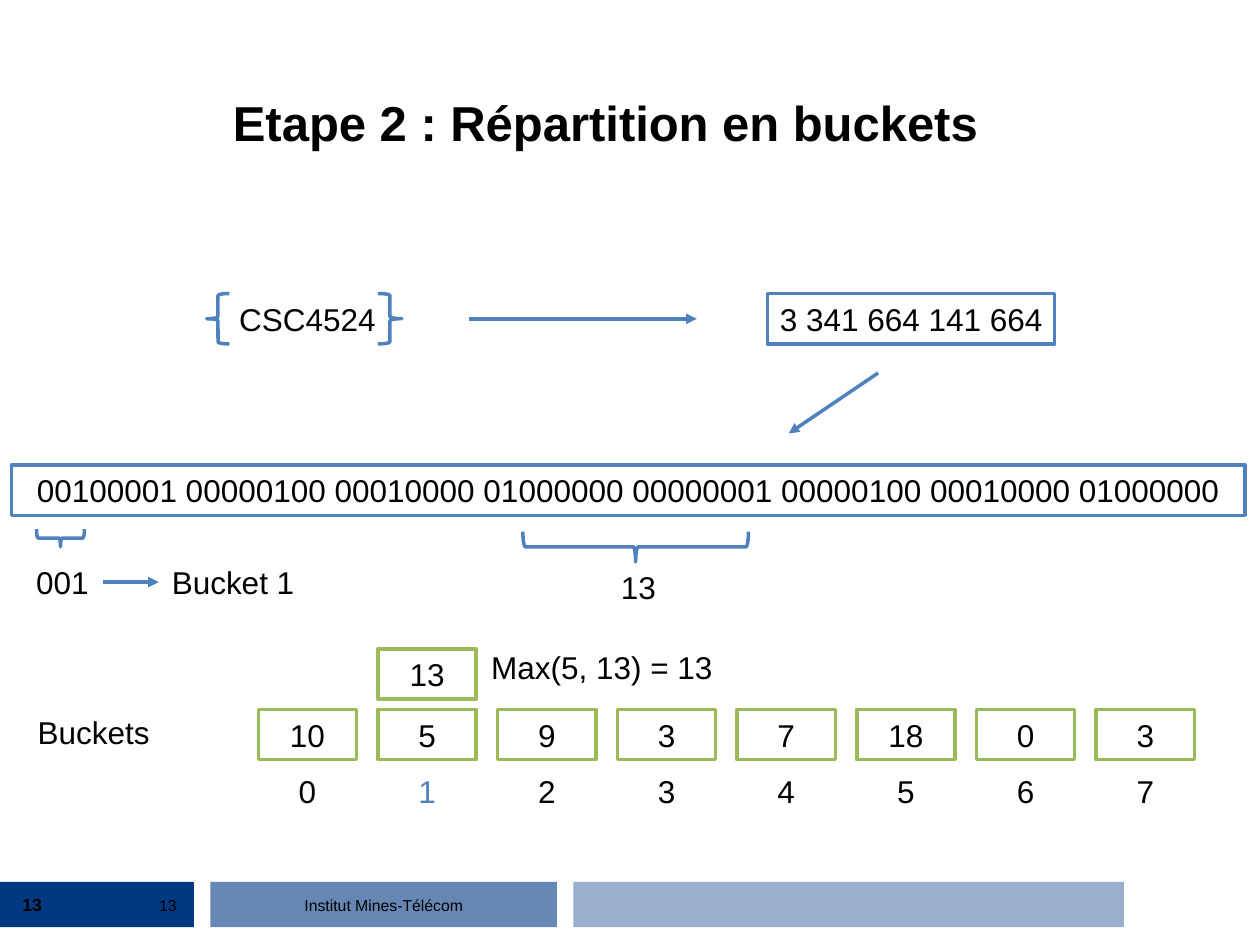
from dataclasses import dataclass

from lxml import etree
from pptx import Presentation
from pptx import util as u
from pptx.dml.color import RGBColor
from pptx.enum import shapes, text
from pptx.oxml import ns

LEFT, CENTER, RIGHT = text.PP_ALIGN.LEFT, text.PP_ALIGN.CENTER, text.PP_ALIGN.RIGHT
SHAPE = shapes.MSO_SHAPE


@dataclass(frozen=True)
class Theme:
    font: str = "Arial"
    ink: str = "000000"
    navy: str = "003882"
    blue: str = "4F81BD"
    green: str = "9BBB59"
    title: int = 28
    body: int = 18
    page: int = 10
    footer: int = 9
    line: int = 2


THEME = Theme()
ROW_HEIGHT = 0.4


def inches(*values):
    return [u.Inches(value) for value in values]


def write(shape, content, size=THEME.body, color=THEME.ink, align=CENTER, bold=False,
          anchor=text.MSO_ANCHOR.TOP):
    frame = shape.text_frame
    frame.word_wrap = False
    frame.vertical_anchor = anchor
    paragraph = frame.paragraphs[0]
    paragraph.text = content
    paragraph.alignment = align
    paragraph.font.name = THEME.font
    paragraph.font.size = u.Pt(size)
    paragraph.font.bold = bold
    paragraph.font.color.rgb = RGBColor.from_string(color)


def add_label(slide, content, left, top, width, height=ROW_HEIGHT, **style):
    shape = slide.shapes.add_textbox(*inches(left, top, width, height))
    write(shape, content, **style)
    return shape


def add_outline(slide, kind, left, top, width, height, color):
    shape = slide.shapes.add_shape(kind, *inches(left, top, width, height))
    shape.shadow.inherit = False
    shape.fill.background()
    shape.line.color.rgb = RGBColor.from_string(color)
    shape.line.width = u.Pt(THEME.line)
    return shape


def add_box(slide, content, left, top, width, color, align=CENTER):
    shape = add_outline(slide, SHAPE.RECTANGLE, left, top, width, ROW_HEIGHT, color)
    write(shape, content, align=align)
    return shape


def add_brace_below(slide, left, top, width, height):
    """Left brace turned so that its tip points down."""
    center_x, center_y = left + width / 2, top + height / 2
    shape = add_outline(slide, SHAPE.LEFT_BRACE, center_x - height / 2,
                        center_y - width / 2, height, width, THEME.blue)
    shape.rotation = 270


def add_arrow(slide, start, end):
    arrow = slide.shapes.add_connector(shapes.MSO_CONNECTOR.STRAIGHT, *inches(*start, *end))
    arrow.line.color.rgb = RGBColor.from_string(THEME.blue)
    arrow.line.width = u.Pt(THEME.line)
    line = arrow.line._get_or_add_ln()
    etree.SubElement(line, ns.qn("a:tailEnd"), type="triangle")
    etree.SubElement(arrow._element.spPr, ns.qn("a:effectLst"))
    return arrow


def add_band(slide, left, width, opacity):
    shape = slide.shapes.add_shape(SHAPE.RECTANGLE, *inches(left, 7, width, 0.36))
    shape.shadow.inherit = False
    shape.fill.solid()
    shape.fill.fore_color.rgb = RGBColor.from_string(THEME.navy)
    shape.line.fill.background()
    if opacity < 100:
        color = shape._element.spPr.find(".//" + ns.qn("a:srgbClr"))
        etree.SubElement(color, ns.qn("a:alpha"), val=str(opacity * 1000))


def add_footer(slide):
    for left, width, opacity in ((4.55, 4.37, 40), (0, 1.54, 100), (1.67, 2.75, 60)):
        add_band(slide, left, width, opacity)
    middle = text.MSO_ANCHOR.MIDDLE
    add_label(slide, "Institut Mines-Télécom", 1.67, 7.06, 2.75, 0.25,
              size=THEME.footer, anchor=middle)
    add_label(slide, "13", 0.5, 7.04, 1, 0.28,
              size=THEME.footer, align=RIGHT, anchor=middle)
    add_label(slide, "13", 0.08, 7.02, 0.42, 0.32,
              size=THEME.page, align=LEFT, bold=True, anchor=middle)


def add_hashing(slide):
    # Set element and its hash
    top = 2.33
    add_label(slide, "CSC4524", 1.77, top, 1.34)
    add_outline(slide, SHAPE.LEFT_BRACE, 1.64, top, 0.18, ROW_HEIGHT, THEME.blue)
    add_outline(slide, SHAPE.RIGHT_BRACE, 3, top, 0.19, ROW_HEIGHT, THEME.blue)
    add_box(slide, "3 341 664 141 664", 6.09, top, 2.28, THEME.blue, align=LEFT)
    add_arrow(slide, (3.72, 2.53), (5.53, 2.53))
    add_arrow(slide, (6.97, 2.96), (6.26, 3.44))

    # Binary form, with the bucket prefix and the run of zeros
    add_box(slide, "00100001 00000100 00010000 01000000 "
                   "00000001 00000100 00010000 01000000", 0.09, 3.69, 9.79, THEME.blue)
    add_brace_below(slide, 4.15, 4.22, 1.79, 0.24)
    add_label(slide, "13", 4.83, 4.46, 0.48, align=LEFT)
    add_brace_below(slide, 0.29, 4.2, 0.38, 0.14)
    prefix = add_label(slide, "001", 0.17, 4.42, 0.65)
    bucket = add_label(slide, "Bucket 1", 1.26, 4.42, 1.18)
    arrow = add_arrow(slide, (0.82, 4.62), (1.26, 4.62))
    arrow.begin_connect(prefix, 3)
    arrow.end_connect(bucket, 1)


def add_buckets(slide):
    first, pitch, width, chosen = 2.05, 0.95, 0.78, 1
    add_label(slide, "Buckets", 0.2, 5.61, 1.09, align=LEFT)
    for index, value in enumerate((10, 5, 9, 3, 7, 18, 0, 3)):
        left = first + index * pitch
        add_box(slide, str(value), left, 5.63, width, THEME.green)
        add_label(slide, str(index), left + 0.22, 6.08, 0.34,
                  color=THEME.blue if index == chosen else THEME.ink)

    # New maximum above the chosen bucket
    add_box(slide, "13", first + chosen * pitch, 5.15, width, THEME.green)
    add_label(slide, "Max(5, 13) = 13", 3.8, 5.09, 1.96, align=LEFT)


def main():
    presentation = Presentation()
    presentation.slide_width, presentation.slide_height = inches(10, 7.5)
    slide = presentation.slides.add_slide(presentation.slide_layouts[6])
    add_footer(slide)
    title = add_label(slide, "Etape 2 : Répartition en buckets", 1.75, 0.25, 7.75, 1,
                      size=THEME.title, align=LEFT, bold=True,
                      anchor=text.MSO_ANCHOR.BOTTOM)
    title.text_frame.word_wrap = True
    add_hashing(slide)
    add_buckets(slide)
    presentation.save("out.pptx")


if __name__ == "__main__":
    main()
